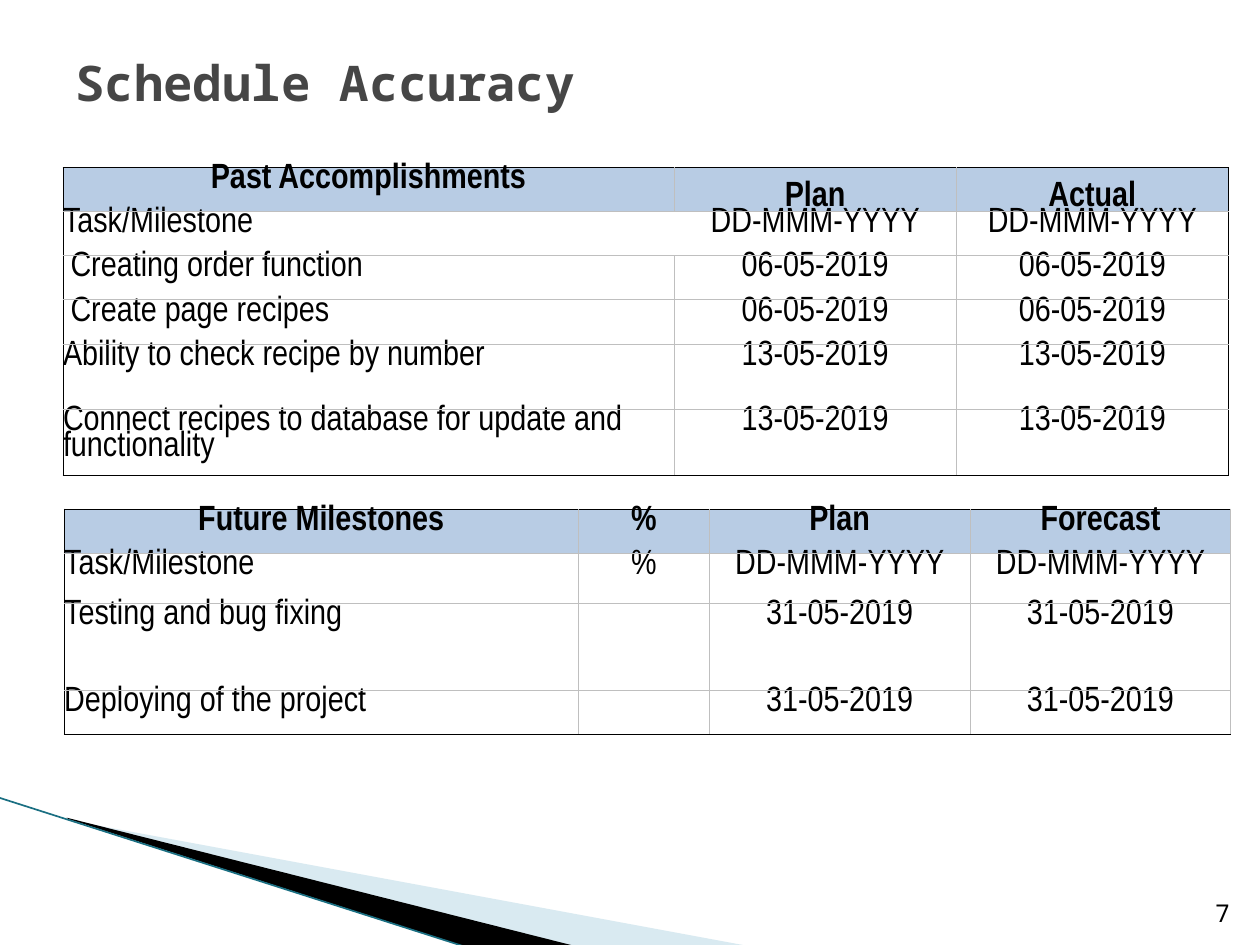
from lxml import etree
from pptx import Presentation
from pptx import util as u
from pptx.dml.color import RGBColor
from pptx.enum import shapes, text
from pptx.oxml.ns import qn

COLORS = {
    "title": "464646", "text": "000000", "header": "B8CCE4", "grid": "BFBFBF",
    "frame": "000000", "pale": "A0CBDC", "dark": "000000", "edge": "1A6F82",
}
TITLE_FONT, TABLE_FONT = "Noto Sans Mono", "Arial Narrow"
LEFT, CENTER, RIGHT = text.PP_ALIGN.LEFT, text.PP_ALIGN.CENTER, text.PP_ALIGN.RIGHT
TOP, MIDDLE, BOTTOM = text.MSO_ANCHOR.TOP, text.MSO_ANCHOR.MIDDLE, text.MSO_ANCHOR.BOTTOM


def rgb(name):
    return RGBColor.from_string(COLORS[name])


class SlideBuilder:
    def __init__(self, prs):
        self.s = prs.slides.add_slide(prs.slide_layouts[5])

    def add_text(self, tf, words, size, font, color="text", bold=False, align=LEFT):
        p = tf.paragraphs[0]
        p.alignment = align
        r = p.add_run()
        r.text = words
        r.font.size, r.font.name, r.font.bold = u.Pt(size), font, bold
        r.font.color.rgb = rgb(color)
        return p

    def title(self, words, box):
        sp = self.s.shapes.title
        sp.left, sp.top, sp.width, sp.height = map(u.Inches, box)
        sp.text_frame.vertical_anchor = MIDDLE
        self.add_text(sp.text_frame, words, 28, TITLE_FONT, "title", True)

    def label(self, words, box, size, align):
        tf = self.s.shapes.add_textbox(*map(u.Inches, box)).text_frame
        tf.word_wrap = True
        tf.vertical_anchor = BOTTOM
        self.add_text(tf, words, size, TITLE_FONT, align=align)

    def polygon(self, points, color, alpha=None):
        pts = [(u.Inches(x), u.Inches(y)) for x, y in points]
        fb = self.s.shapes.build_freeform(*pts[0])
        fb.add_line_segments(pts[1:], close=True)
        sp = fb.convert_to_shape()
        sp.shadow.inherit = False
        sp.line.fill.background()
        sp.fill.solid()
        sp.fill.fore_color.rgb = rgb(color)
        if alpha:
            clr = sp._element.spPr.find(qn("a:solidFill"))[0]
            etree.SubElement(clr, qn("a:alpha")).set("val", str(alpha * 1000))

    def line(self, start, end, color, width):
        cx = self.s.shapes.add_connector(
            shapes.MSO_CONNECTOR.STRAIGHT, *map(u.Inches, start + end))
        cx.line.color.rgb = rgb(color)
        cx.line.width = u.Pt(width)
        etree.SubElement(cx._element.spPr, qn("a:effectLst"))

    def borders(self, cell, sides):
        """Borders in the order left, right, top, bottom; None hides one."""
        tc_pr = cell._tc.get_or_add_tcPr()
        for i, (side, color) in enumerate(zip("LRTB", sides)):
            ln = etree.Element(qn(f"a:ln{side}"), w=str(u.Pt(0.5)))
            if color:
                fill = etree.SubElement(ln, qn("a:solidFill"))
                etree.SubElement(fill, qn("a:srgbClr")).set("val", COLORS[color])
            else:
                etree.SubElement(ln, qn("a:noFill"))
            tc_pr.insert(i, ln)

    def table(self, left, top, widths, heights, rows, right_edge="frame",
              low_heads=(), indented=(), open_row=None):
        box = map(u.Inches, (left, top, sum(widths), sum(heights)))
        tbl = self.s.shapes.add_table(len(rows), len(widths), *box).table
        tbl.first_row = tbl.horz_banding = False
        for col, w in zip(tbl.columns, widths):
            col.width = u.Inches(w)
        for row, h in zip(tbl.rows, heights):
            row.height = u.Inches(h)
        last_row, last_col = len(rows) - 1, len(widths) - 1
        for i, row in enumerate(rows):
            for j, words in enumerate(row):
                cell = tbl.cell(i, j)
                head = i == 0
                cell.margin_left = cell.margin_right = 0
                cell.margin_top = cell.margin_bottom = 0
                if j == 0 and i in indented:
                    cell.margin_left = u.Inches(0.06)
                cell.vertical_anchor = BOTTOM if head and j in low_heads else TOP
                if head:
                    cell.fill.solid()
                    cell.fill.fore_color.rgb = rgb("header")
                else:
                    cell.fill.background()
                is_open = i == open_row
                self.borders(cell, (
                    "frame" if j == 0 else None if is_open and j == 1 else "grid",
                    right_edge if j == last_col
                    else None if is_open and j == 0 else "grid",
                    "frame" if head else "grid",
                    "frame" if i == last_row else "grid"))
                if words:
                    p = self.add_text(cell.text_frame, words, 20, TABLE_FONT, bold=head,
                                      align=CENTER if head or j else LEFT)
                    p.line_spacing = 0.8


def main():
    prs = Presentation()
    prs.slide_width, prs.slide_height = u.Inches(10), u.Inches(7.5)
    b = SlideBuilder(prs)

    # Corner decoration
    b.polygon([(0.55, 6.51), (5.95, 7.51), (4.56, 7.51), (0.55, 6.5)], "pale", 40)
    b.polygon([(0.53, 6.49), (4.57, 7.51), (3.72, 7.52), (0.54, 6.5)], "dark")
    b.line((-0.01, 6.33), (3.71, 7.52), "edge", 0.95)

    # Title
    b.title("Schedule Accuracy", (0.5, 0.3, 9, 0.7))

    # Past accomplishments: plan and actual dates agree
    date = "DD-MMM-YYYY"
    past = [("Task/Milestone", date), ("Creating order function", "06-05-2019"),
            ("Create page recipes", "06-05-2019"),
            ("Ability to check recipe by number", "13-05-2019"),
            ("Connect recipes to database for update and functionality", "13-05-2019")]
    b.table(0.5, 1.33, [4.85, 2.24, 2.16], [0.35] * 4 + [0.52] * 2,
            [("Past Accomplishments", "Plan", "Actual")]
            + [(task, day, day) for task, day in past],
            low_heads=(1, 2), indented=(2, 3), open_row=1)

    # Future milestones: plan and forecast dates agree
    future = [("Task/Milestone", "%", date), ("Testing and bug fixing", "", "31-05-2019"),
              ("Deploying of the project", "", "31-05-2019")]
    b.table(0.51, 4.04, [4.08, 1.04, 2.07, 2.07], [0.35, 0.4, 0.69, 0.35],
            [("Future Milestones", "%", "Plan", "Forecast")]
            + [(task, share, day, day) for task, share, day in future],
            right_edge="grid")

    # Page number
    b.label("7", (9.46, 7.01, 0.4, 0.4), 14, RIGHT)

    prs.save("out.pptx")


if __name__ == "__main__":
    main()
